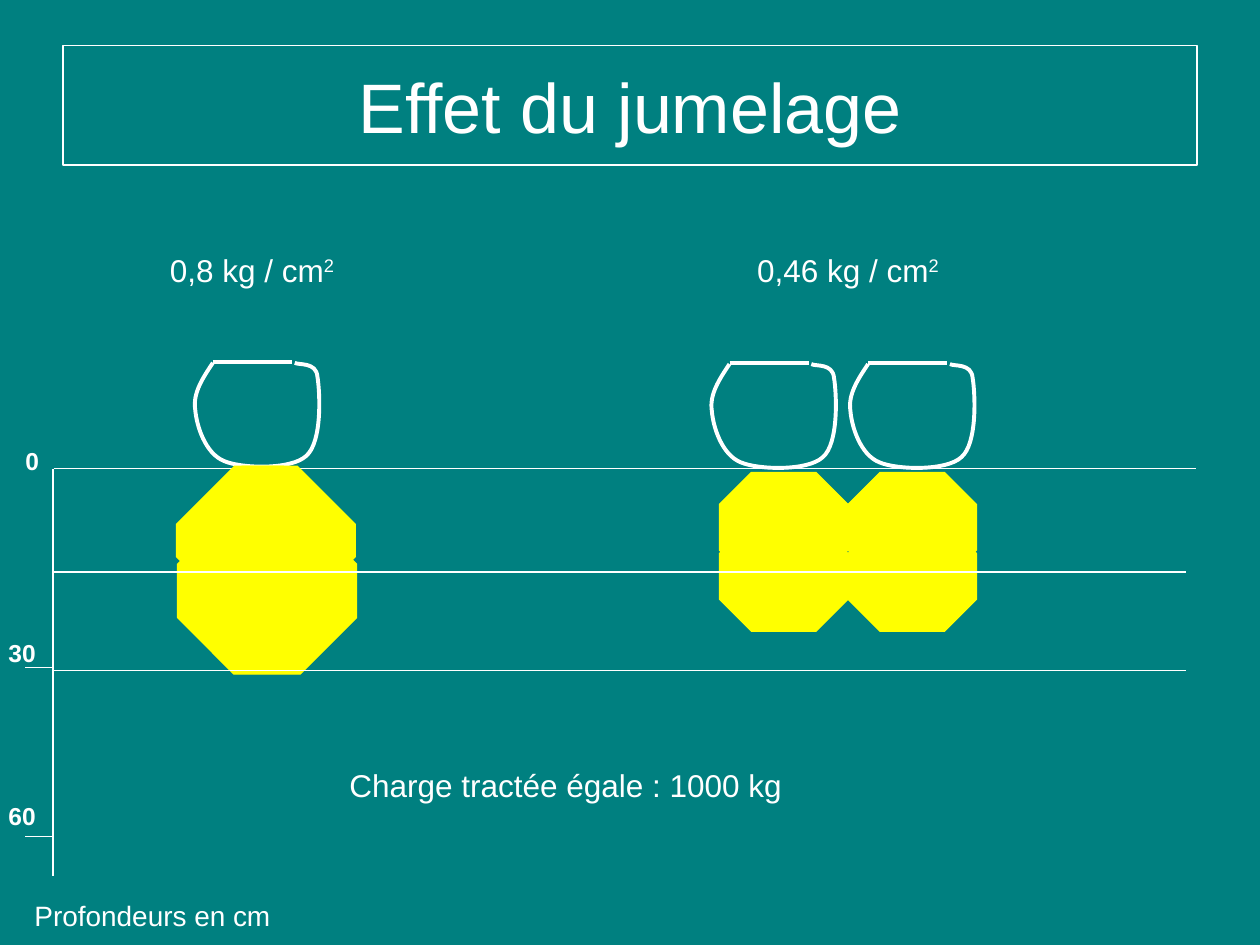
from dataclasses import dataclass

import lxml.etree
import pptx
import pptx.dml.color
import pptx.enum.shapes
import pptx.enum.text
import pptx.oxml.ns
import pptx.util

Inches = pptx.util.Inches
Pt = pptx.util.Pt
qn = pptx.oxml.ns.qn
SHAPE = pptx.enum.shapes.MSO_SHAPE
ANCHOR = pptx.enum.text.MSO_ANCHOR

COLORS = {"background": "008080", "white": "FFFFFF", "bulb": "FFFF00"}
FONT = "Arial"
THIN, THICK = 0.75, 2.25

# Tyre outline relative to its top left corner: start, then three points a curve
TYRE_START = (0.16, 0.01)
TYRE_CURVES = [
    (0.08, 0.13), (0.00, 0.25), (0.02, 0.38),
    (0.03, 0.51), (0.10, 0.73), (0.25, 0.79),
    (0.39, 0.85), (0.78, 0.86), (0.90, 0.75),
    (1.03, 0.64), (1.01, 0.24), (0.99, 0.12),
    (0.98, 0.00), (0.84, 0.03), (0.81, 0.01),
]


@dataclass
class Octagon:
    x: float
    y: float
    w: float
    h: float
    cut: float


@dataclass
class Line:
    x1: float
    y1: float
    x2: float
    y2: float


@dataclass
class Depth:
    text: str
    space_before: float = 0
    indent: float = 0


def rgb(name: str):
    return pptx.dml.color.RGBColor.from_string(COLORS[name])


def write_text(p, text: str, *, size: float = 18, bold: bool = False,
               superscript: str = "") -> None:
    """Fill a centred paragraph, with an optional superscript ending."""
    p.alignment = pptx.enum.text.PP_ALIGN.CENTER
    for part in filter(None, (text, superscript)):
        r = p.add_run()
        r.text = part
        r.font.name = FONT
        r.font.size = Pt(size)
        r.font.bold = bold
        r.font.color.rgb = rgb("white")
    if superscript:
        r.font._element.set("baseline", "30000")


def add_box(shapes, x: float, y: float, w: float, h: float):
    tf = shapes.add_textbox(Inches(x), Inches(y), Inches(w), Inches(h)).text_frame
    tf.word_wrap = True
    return tf


def add_depths(shapes, depths: list[Depth]) -> None:
    tf = add_box(shapes, -0.2, 3.49, 0.75, 3.28)
    for i, depth in enumerate(depths):
        p = tf.add_paragraph() if i else tf.paragraphs[0]
        write_text(p, depth.text, size=14, bold=True)
        if depth.space_before:
            p.space_before = Pt(depth.space_before)
        if depth.indent:
            p._p.get_or_add_pPr().set("marL", str(Inches(depth.indent)))


def style_line(s, color: str, width: float) -> None:
    s.line.color.rgb = rgb(color)
    s.line.width = Pt(width)


def add_line(shapes, line: Line, width: float = THIN) -> None:
    s = shapes.add_connector(pptx.enum.shapes.MSO_CONNECTOR.STRAIGHT,
                             Inches(line.x1), Inches(line.y1),
                             Inches(line.x2), Inches(line.y2))
    style_line(s, "white", width)
    lxml.etree.SubElement(s._element.spPr, qn("a:effectLst"))


def add_octagon(shapes, octagon: Octagon) -> None:
    sp = shapes.add_shape(SHAPE.OCTAGON, Inches(octagon.x), Inches(octagon.y),
                          Inches(octagon.w), Inches(octagon.h))
    sp.adjustments[0] = octagon.cut
    sp.shadow.inherit = False
    sp.fill.solid()
    sp.fill.fore_color.rgb = rgb("bulb")
    style_line(sp, "bulb", THIN)


def curve_segments(sp) -> None:
    """Turn each three straight segments of a freeform into one cubic curve."""
    segments = list(sp._element.iter(qn("a:lnTo")))
    for i in range(0, len(segments), 3):
        curve = lxml.etree.Element(qn("a:cubicBezTo"))
        segments[i].addprevious(curve)
        for segment in segments[i:i + 3]:
            curve.append(segment[0])
            segment.getparent().remove(segment)


def add_tyre(shapes, x: float, y: float) -> None:
    """Group a curved tyre wall with the straight line above it."""
    group = shapes.add_group_shape()
    start, *points = [(Inches(x + dx), Inches(y + dy))
                      for dx, dy in [TYRE_START, *TYRE_CURVES]]
    builder = group.shapes.build_freeform(*start, scale=1.0)
    builder.add_line_segments(points, close=False)
    sp = builder.convert_to_shape()
    curve_segments(sp)
    sp.shadow.inherit = False
    sp.fill.background()
    style_line(sp, "white", THICK)
    add_line(group.shapes, Line(x + 0.16, y, x + 0.79, y), THICK)


def add_title(shapes, text: str) -> None:
    sp = shapes.add_shape(SHAPE.RECTANGLE, Inches(0.5), Inches(0.36),
                          Inches(9), Inches(0.95))
    sp.shadow.inherit = False
    sp.fill.background()
    style_line(sp, "white", THIN)
    sp.text_frame.vertical_anchor = ANCHOR.MIDDLE
    write_text(sp.text_frame.paragraphs[0], text, size=40)


def main() -> None:
    prs = pptx.Presentation()
    prs.slide_width, prs.slide_height = Inches(10), Inches(7.5)
    s = prs.slides.add_slide(prs.slide_layouts[6])
    s.background.fill.solid()
    s.background.fill.fore_color.rgb = rgb("background")
    shapes = s.shapes

    add_octagon(shapes, Octagon(1.41, 4.03, 1.42, 1.32, 0.339))
    add_title(shapes, "Effet du jumelage")

    # Depth axis, ground line and ticks
    add_depths(shapes, [Depth("0", indent=0.16), Depth("30", 93), Depth("60", 76)])
    for line in (Line(0.43, 3.72, 9.49, 3.72), Line(0.42, 3.72, 0.42, 6.95),
                 Line(0.2, 5.3, 0.42, 5.3), Line(0.2, 6.64, 0.42, 6.64)):
        add_line(shapes, line)
    tf = add_box(shapes, 0.04, 7.08, 2.34, 0.37)
    write_text(tf.paragraphs[0], "Profondeurs en cm", size=16)

    # Single wheel and its pressure bulb
    add_tyre(shapes, 1.53, 2.87)
    add_octagon(shapes, Octagon(1.4, 3.7, 1.42, 1.18, 0.392))
    add_octagon(shapes, Octagon(1.69, 3.7, 0.79, 0.87, 0.292))

    # Ground pressures
    for text, x in (("0,8 kg / cm", 0.9), ("0,46 kg / cm", 5.63)):
        tf = add_box(shapes, x, 1.94, 2.2, 0.4)
        write_text(tf.paragraphs[0], text, superscript="2")

    # Twin wheels and their pressure bulbs
    for x in (5.63, 6.73):
        add_tyre(shapes, x, 2.88)
    for y in (3.75, 4.14):
        for x in (5.71, 6.73):
            add_octagon(shapes, Octagon(x, y, 1.02, 0.87, 0.292))

    # Depth lines across the bulbs
    for y in (4.54, 5.32):
        add_line(shapes, Line(0.43, y, 9.41, y))
    tf = add_box(shapes, 2.64, 6.03, 3.7, 0.4)
    write_text(tf.paragraphs[0], "Charge tractée égale : 1000 kg")

    prs.save("out.pptx")


if __name__ == "__main__":
    main()
